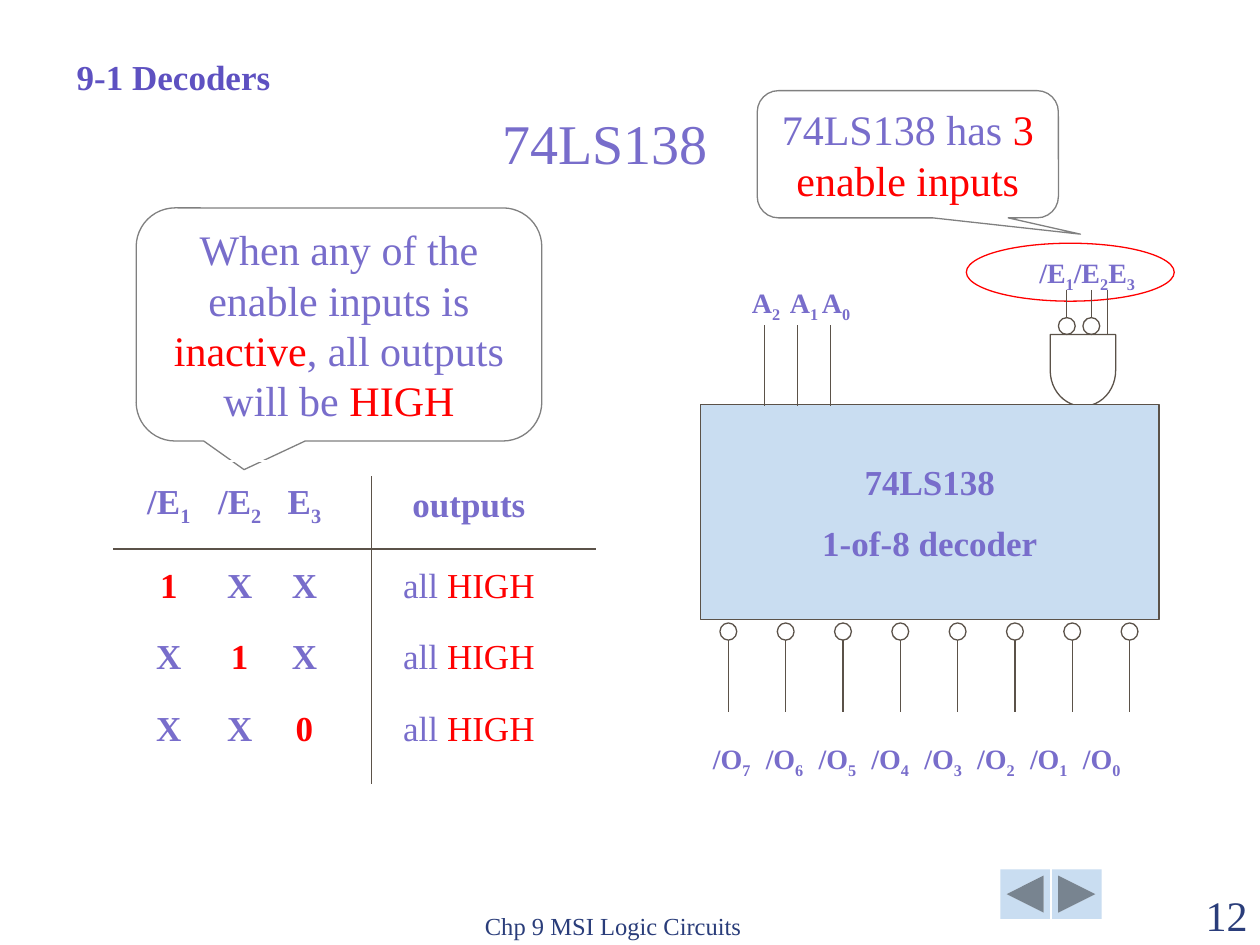
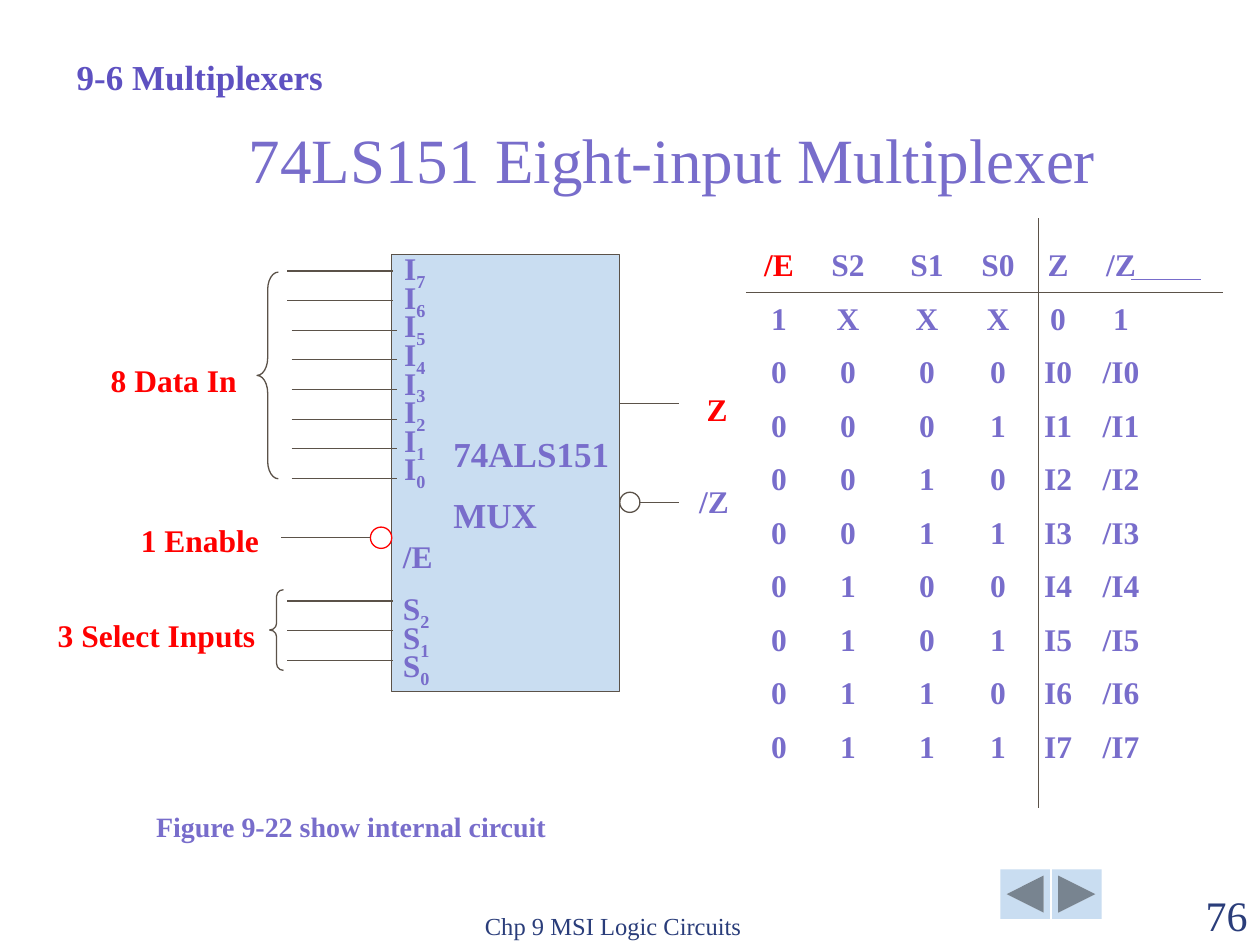
import pptx
import pptx.util
import pptx.dml.color
import pptx.enum.shapes
import pptx.enum.text
import pptx.oxml.ns
import lxml.etree

Pt = pptx.util.Pt
rgb = pptx.dml.color.RGBColor.from_string
qn = pptx.oxml.ns.qn
SHAPE = pptx.enum.shapes.MSO_SHAPE
ALIGN = pptx.enum.text.PP_ALIGN
ANCHOR = pptx.enum.text.MSO_ANCHOR

FONT = "Times New Roman"
PURPLE, HEADING, NAVY = "786DCB", "5E51C1", "2A3D7A"
RED, BLUE, INK, GREY, ARROW = "FF0000", "C9DDF1", "5B5249", "808080", "79858F"


def write(tf, text, size=18, color=PURPLE, bold=False, align=ALIGN.LEFT,
          anchor=ANCHOR.TOP, wrap=True, leading=None, before=0, tabs=()):
    """Fill a text frame; *words* turn red and _x makes x a subscript."""
    tf.word_wrap = wrap
    tf.vertical_anchor = anchor
    for i, line in enumerate(text.split("\n")):
        p = tf.add_paragraph() if i else tf.paragraphs[0]
        p.alignment = align
        p.line_spacing = leading
        p.space_before = Pt(before if i else 0)
        if tabs:
            tab_list = lxml.etree.SubElement(p._p.get_or_add_pPr(), qn("a:tabLst"))
            for pos in tabs:
                lxml.etree.SubElement(tab_list, qn("a:tab"), pos=str(Pt(pos)), algn="l")
        for j, part in enumerate(line.split("*")):
            for k, piece in enumerate(part.split("_")):
                runs = [(piece[:1], True), (piece[1:], False)] if k else [(piece, False)]
                for words, subscript in runs:
                    if not words:
                        continue
                    r = p.add_run()
                    r.text = words
                    r.font.name, r.font.size, r.font.bold = FONT, Pt(size), bold
                    r.font.color.rgb = rgb(RED if j % 2 else color)
                    if subscript:
                        r._r.get_or_add_rPr().set("baseline", "-25000")


def shape(s, kind, x, y, w, h, fill=None, line=INK, adjust=()):
    sp = s.shapes.add_shape(kind, Pt(x), Pt(y), Pt(w), Pt(h))
    sp.shadow.inherit = False
    if fill:
        sp.fill.solid()
        sp.fill.fore_color.rgb = rgb(fill)
    else:
        sp.fill.background()
    if line:
        sp.line.color.rgb = rgb(line)
        sp.line.width = Pt(0.75)
    else:
        sp.line.fill.background()
    for i, value in enumerate(adjust):
        sp.adjustments[i] = value
    return sp


prs = pptx.Presentation()
prs.slide_width, prs.slide_height = Pt(720), Pt(540)
decoder = prs.slides.add_slide(prs.slide_layouts[6])
mux = prs.slides.add_slide(prs.slide_layouts[6])

labels = []  # slide, text, x, y, w, h, format
lines = []   # slide, x1, y1, x2, y2, colour

# Shared section heading, title, footer, page number and buttons
title_style = dict(align=ALIGN.CENTER, anchor=ANCHOR.BOTTOM, leading=0.7)
for s, section, number in ((decoder, "9-1 Decoders", "12"), (mux, "9-6 Multiplexers", "76")):
    shape(s, SHAPE.ACTION_BUTTON_BACK_OR_PREVIOUS, 571.7, 496.8, 28.3, 28.3, BLUE, None)
    shape(s, SHAPE.ACTION_BUTTON_FORWARD_OR_NEXT, 601.2, 496.8, 28.3, 28.3, BLUE, None)
    labels += [
        (s, section, 36.7, 28, 165, 31, dict(size=20, color=HEADING, bold=True)),
        (s, "Chp 9 MSI Logic Circuits", 270, 504.7, 228, 36,
         dict(size=14, color=NAVY, anchor=ANCHOR.BOTTOM)),
        (s, number, 648, 504.7, 72, 36,
         dict(size=24, color=NAVY, align=ALIGN.RIGHT, anchor=ANCHOR.BOTTOM)),
    ]
labels += [
    (decoder, "74LS138", 242.6, 66.2, 206.6, 36.7, dict(size=32, **title_style)),
    (mux, "74LS151 Eight-input Multiplexer", 115.2, 65.5, 537.8, 49, dict(size=36, **title_style)),
]

# Decoder: enable gate and its inputs
gate = shape(decoder, SHAPE.FLOWCHART_DELAY, 598.3, 193, 41, 37.4)
gate.rotation = 90
for x in (609.6, 623.6):
    shape(decoder, SHAPE.OVAL, x - 4.8, 181.5, 9.6, 9.6)
    lines.append((decoder, x, 165.6, x, 181.5, INK))
lines.append((decoder, 632.9, 165.6, 632.9, 191.5, INK))

# Decoder: chip, address inputs and inverted outputs
chip = shape(decoder, SHAPE.RECTANGLE, 400.3, 231.1, 262.1, 123.1, BLUE)
write(chip.text_frame, "74LS138\n1-of-8 decoder", size=20, bold=True,
      align=ALIGN.CENTER, anchor=ANCHOR.MIDDLE, wrap=False, before=10.7)
for i in range(3):
    x = 437 + 18.7 * i
    lines.append((decoder, x, 185.8, x, 231.8, INK))
for i in range(8):
    x = 416.2 + 32.75 * i
    shape(decoder, SHAPE.OVAL, x - 4.8, 356, 9.6, 9.8)
    lines.append((decoder, x, 365.8, x, 406.8, INK))
pin = dict(size=16, bold=True)
labels += [
    (decoder, "/E_1/E_2E_3", 586.8, 142.4, 82.8, 26.6, pin),
    (decoder, "A_2\tA_1\tA_0", 422.6, 159.7, 82.8, 26.6, dict(tabs=(21.7, 40), **pin)),
    (decoder, "\t".join(f"/O_{n}" for n in range(7, -1, -1)), 400.3, 420.3, 274.3, 26.6,
     dict(tabs=[30.2 * n for n in range(1, 8)], **pin)),
]

# Decoder: callouts and the ring around the enable inputs
shape(decoder, SHAPE.OVAL, 552.2, 139, 118.8, 33.1, line=RED)
for text, box, tail in (
        ("74LS138 has *3 enable inputs*", (432.7, 51.8, 172.1, 72.7), (0.573, 0.628)),
        ("When any of the enable inputs is *inactive*, all outputs will be *HIGH*",
         (77.8, 118.8, 231.8, 133.2), (-0.234, 0.623))):
    sp = shape(decoder, SHAPE.ROUNDED_RECTANGULAR_CALLOUT, *box, line=GREY, adjust=(*tail, 0.167))
    write(sp.text_frame, text, size=24, align=ALIGN.CENTER, anchor=ANCHOR.MIDDLE)

# Multiplexer: chip, enable bubble, outputs and braces
shape(mux, SHAPE.RECTANGLE, 223.9, 145.4, 130.3, 249.8, BLUE)
shape(mux, SHAPE.OVAL, 211.7, 301.2, 12.2, 12.2, line=RED)
shape(mux, SHAPE.OVAL, 354.2, 281.3, 11.5, 11.5)
shape(mux, SHAPE.LEFT_BRACE, 146.9, 155.5, 12.2, 118.1, adjust=(0.819, 0.5))
shape(mux, SHAPE.LEFT_BRACE, 154.1, 337, 7.9, 46.1, adjust=(0.479, 0.5))
lines += [
    (mux, 160.6, 307, 211.7, 307, INK),
    (mux, 354.2, 230.4, 388.1, 230.4, INK),
    (mux, 365.7, 287, 388.1, 287, INK),
]
for i in range(8):
    y, shift = 154.8 + 16.95 * i, 0 if i < 2 else 2.5
    lines.append((mux, 164.2 + shift, y, 224.6 + shift, y, INK))
for i in range(3):
    y = 343.4 + 16.95 * i
    lines.append((mux, 164.2, y, 224.6, y, INK))

# Multiplexer: names of pins and pin groups
name = dict(bold=True, wrap=False)
pins = dict(bold=True, leading=Pt(16.35))
labels += [
    (mux, "\n".join(f"I_{n}" for n in range(7, -1, -1)), 223.9, 147, 33.8, 138, pins),
    (mux, "S_2\nS_1\nS_0", 223.2, 341.3, 33.8, 56, pins),
    (mux, "/E", 223.2, 303.4, 33.8, 28, name),
    (mux, "74ALS151\nMUX", 252, 243.5, 103.7, 67, dict(size=20, before=10.7, **name)),
    (mux, "*8 Data In*", 56.2, 203, 86.4, 28, name),
    (mux, "*1 Enable*", 73.4, 294.3, 82, 28, name),
    (mux, "*3 Select Inputs*", 25.9, 348.3, 127.4, 28, name),
    (mux, "*Z*", 396.7, 219.4, 26.6, 28, name),
    (mux, "/Z", 392.4, 272, 31.7, 28, name),
    (mux, "Figure 9-22 show internal circuit", 82.1, 459.2, 239, 26.6, dict(size=16, **name)),
]

# Truth tables
decoder_rows = [
    ["/E_1", "/E_2", "E_3", "outputs"],
    ["*1*", "X", "X", "all *HIGH*"],
    ["X", "*1*", "X", "all *HIGH*"],
    ["X", "X", "*0*", "all *HIGH*"],
]
mux_rows = [["*/E*", "S2", "S1", "S0", "Z", "/Z"], ["1", "X", "X", "X", "0", "1"]]
mux_rows += [["0", *f"{n:03b}", f"I{n}", f"/I{n}"] for n in range(8)]
for s, rows, x, y, widths, heights, size in (
        (decoder, decoder_rows, 76, 263.5, (41, 40, 34, 154), (51, 41, 41, 41), 20),
        (mux, mux_rows, 425.7, 136.7, (38.9, 40, 50.3, 30.9, 37.7, 34.3), (30.6,) * 10, 18)):
    table = s.shapes.add_table(len(rows), len(widths), Pt(x), Pt(y),
                               Pt(sum(widths)), Pt(sum(heights))).table
    table.first_row = table.horz_banding = False
    for column, width in zip(table.columns, widths):
        column.width = Pt(width)
    for i, row in enumerate(rows):
        table.rows[i].height = Pt(heights[i])
        for j, text in enumerate(row):
            cell = table.cell(i, j)
            cell.fill.background()
            cell.margin_left = cell.margin_right = cell.margin_top = cell.margin_bottom = 0
            write(cell.text_frame, text, size=size, bold=not text.startswith("all"),
                  align=ALIGN.CENTER)
            cell.vertical_anchor = ANCHOR.MIDDLE
lines += [
    (decoder, 64.8, 313.7, 340.6, 313.7, INK),
    (decoder, 212.4, 272.2, 212.4, 447.8, INK),
    (mux, 426.2, 167, 699.1, 167, INK),
    (mux, 593.3, 124.6, 593.3, 461.5, INK),
    (mux, 646.3, 159.6, 686.3, 159.6, PURPLE),
]

# Draw the collected lines and labels
for s, x1, y1, x2, y2, color in lines:
    c = s.shapes.add_connector(pptx.enum.shapes.MSO_CONNECTOR.STRAIGHT,
                               Pt(x1), Pt(y1), Pt(x2), Pt(y2))
    c.line.color.rgb = rgb(color)
    c.line.width = Pt(0.75)
    lxml.etree.SubElement(c._element.spPr, qn("a:effectLst"))
for s, text, x, y, w, h, style in labels:
    write(s.shapes.add_textbox(Pt(x), Pt(y), Pt(w), Pt(h)).text_frame, text, **style)

prs.save("out.pptx")
